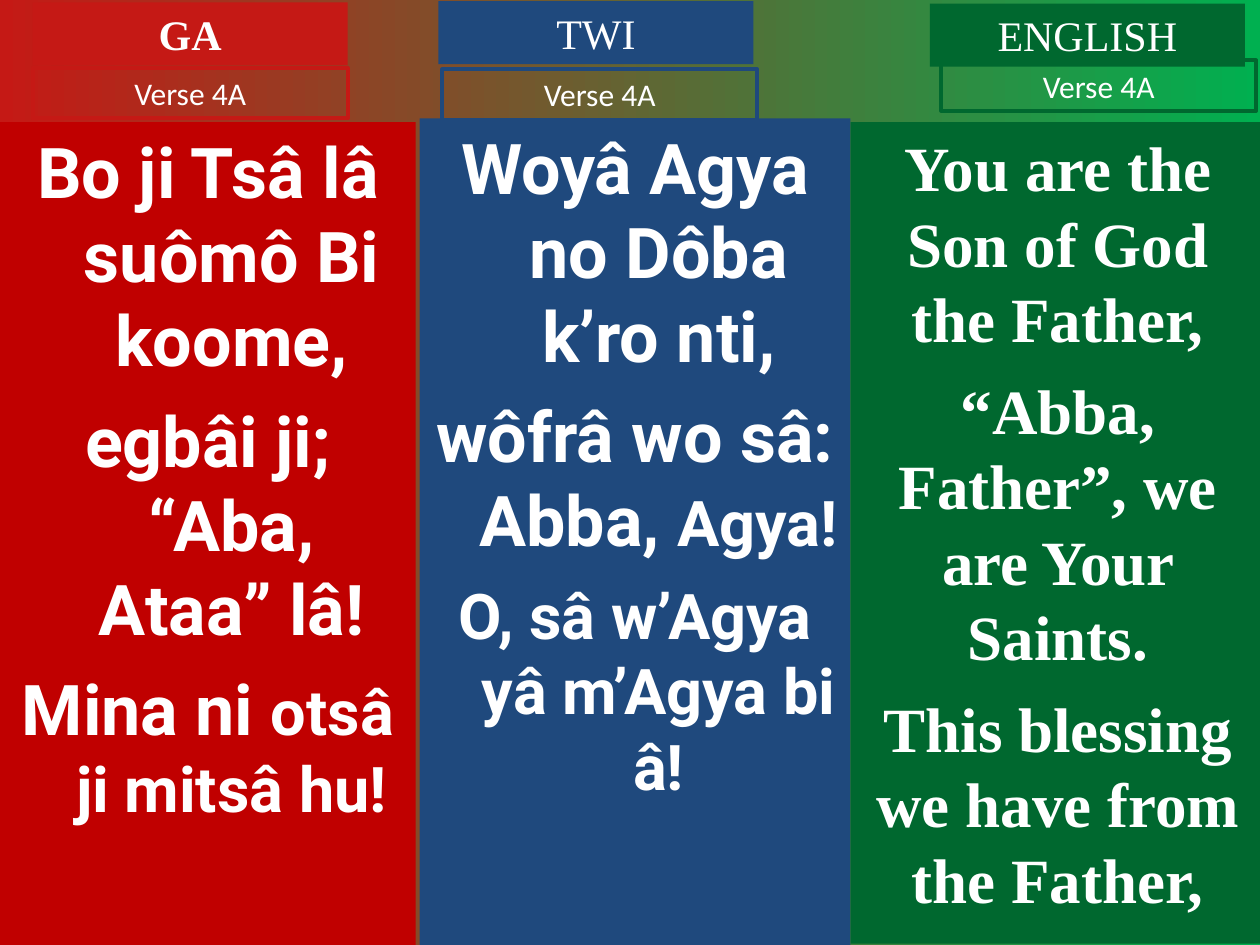
from dataclasses import dataclass

import pptx
import pptx.dml.color
import pptx.enum.shapes
import pptx.enum.text
import pptx.util

Pt = pptx.util.Pt
RGBColor = pptx.dml.color.RGBColor

WHITE = RGBColor(0xFF, 0xFF, 0xFF)
SCARLET = RGBColor(0xC5, 0x19, 0x15)
RED = RGBColor(0xC0, 0x00, 0x00)
BLUE = RGBColor(0x1F, 0x49, 0x7D)
GREEN = RGBColor(0x00, 0x68, 0x2F)
BRIGHT_GREEN = RGBColor(0x00, 0xB0, 0x50)

HEADING_SIZE = (180, 36)
VERSE_SIZE = (180, 28.8)
HANGING = Pt(27)


@dataclass
class Run:
    text: str
    size: float


@dataclass
class Paragraph:
    runs: list[Run]
    space_before: float = 0


@dataclass
class Column:
    language: str
    heading_bold: bool
    heading_at: tuple[float, float]
    verse_at: tuple[float, float]
    body_box: tuple[float, float, float, float]
    accent: RGBColor
    body_fill: RGBColor
    body_font: str
    hanging: bool
    lyrics: list[Paragraph]


COLUMNS = [
    Column("GA", True, (18.72, 1.44), (18.72, 38.88),
           (0, 69.84, 237.6, 470.16), SCARLET, RED, "Roboto", True, [
               Paragraph([Run("Bo ji Tsâ lâ suômô Bi koome,", 40)]),
               Paragraph([Run("egbâi ji; “Aba, Ataa” lâ!", 40)], 10),
               Paragraph([Run("Mina ni ", 40), Run("otsâ ji mitsâ hu!", 36)], 9),
           ]),
    Column("TWI", False, (250.56, 0.72), (252.72, 39.6),
           (239.76, 67.68, 246.24, 472.32), BLUE, BLUE, "Roboto", True, [
               Paragraph([Run("Woyâ Agya no Dôba k’ro nti,", 40)]),
               Paragraph([Run("wôfrâ wo sâ: Abba, ", 40), Run("Agya!", 36)], 9),
               Paragraph([Run("O, sâ w’Agya yâ m’Agya bi â!", 36)], 9),
           ]),
    Column("ENGLISH", False, (531.36, 2.16), (537.84, 34.56),
           (486, 69.84, 236.88, 469.44), GREEN, GREEN, "Times New Roman", False, [
               Paragraph([Run("You are the Son of God the Father,", 36)]),
               Paragraph([Run("“Abba, Father”, we are Your Saints.", 36)], 9),
               Paragraph([Run("This blessing we have from the Father,", 36)], 9),
           ]),
]


def add_panel(s, box: tuple, paragraphs: list[Paragraph], font: str, bold: bool = False,
              fill: RGBColor | None = None, line: RGBColor | None = None,
              hanging: bool = False, grow: bool = False) -> None:
    """Draw a rectangle with centred white text."""
    sp = s.shapes.add_shape(pptx.enum.shapes.MSO_SHAPE.RECTANGLE, *map(Pt, box))
    sp.shadow.inherit = False
    if fill is None:
        sp.fill.background()
    else:
        sp.fill.solid()
        sp.fill.fore_color.rgb = fill
    if line is None:
        sp.line.fill.background()
    else:
        sp.line.color.rgb = line
        sp.line.width = Pt(2.25)

    tf = sp.text_frame
    auto_size = pptx.enum.text.MSO_AUTO_SIZE
    frame_format = {
        "word_wrap": True,
        "vertical_anchor": pptx.enum.text.MSO_ANCHOR.TOP,
        "auto_size": auto_size.SHAPE_TO_FIT_TEXT if grow else auto_size.NONE,
    }
    for name, value in frame_format.items():
        setattr(tf, name, value)

    for i, paragraph in enumerate(paragraphs):
        p = tf.add_paragraph() if i else tf.paragraphs[0]
        p.alignment = pptx.enum.text.PP_ALIGN.CENTER
        p.space_before = Pt(paragraph.space_before)
        if hanging:
            pPr = p._p.get_or_add_pPr()
            pPr.set("marL", str(HANGING))
            pPr.set("indent", str(-HANGING))
        for run in paragraph.runs:
            r = p.add_run()
            r.text = run.text
            for name, value in {"name": font, "size": Pt(run.size), "bold": bold}.items():
                setattr(r.font, name, value)
            r.font.color.rgb = WHITE


def add_column(s, c: Column) -> None:
    """Draw one language: lyrics, heading and verse label."""
    add_panel(s, c.body_box, c.lyrics, c.body_font, bold=True,
              fill=c.body_fill, hanging=c.hanging)
    add_panel(s, c.heading_at + HEADING_SIZE, [Paragraph([Run(c.language, 24)])],
              "Times New Roman", bold=c.heading_bold, fill=c.accent, grow=True)
    add_panel(s, c.verse_at + VERSE_SIZE, [Paragraph([Run("Verse 4A", 18)])],
              "Calibri", line=c.accent, grow=True)


def main() -> None:
    prs = pptx.Presentation()
    prs.slide_width, prs.slide_height = Pt(720), Pt(540)
    s = prs.slides.add_slide(prs.slide_layouts[6])

    # Background: red to green, left to right
    fill = s.background.fill
    fill.gradient()
    fill.gradient_angle = 0
    for stop, color in zip(fill.gradient_stops, (SCARLET, BRIGHT_GREEN)):
        stop.color.rgb = color

    # Language columns
    for column in COLUMNS:
        add_column(s, column)

    prs.save("out.pptx")


if __name__ == "__main__":
    main()
